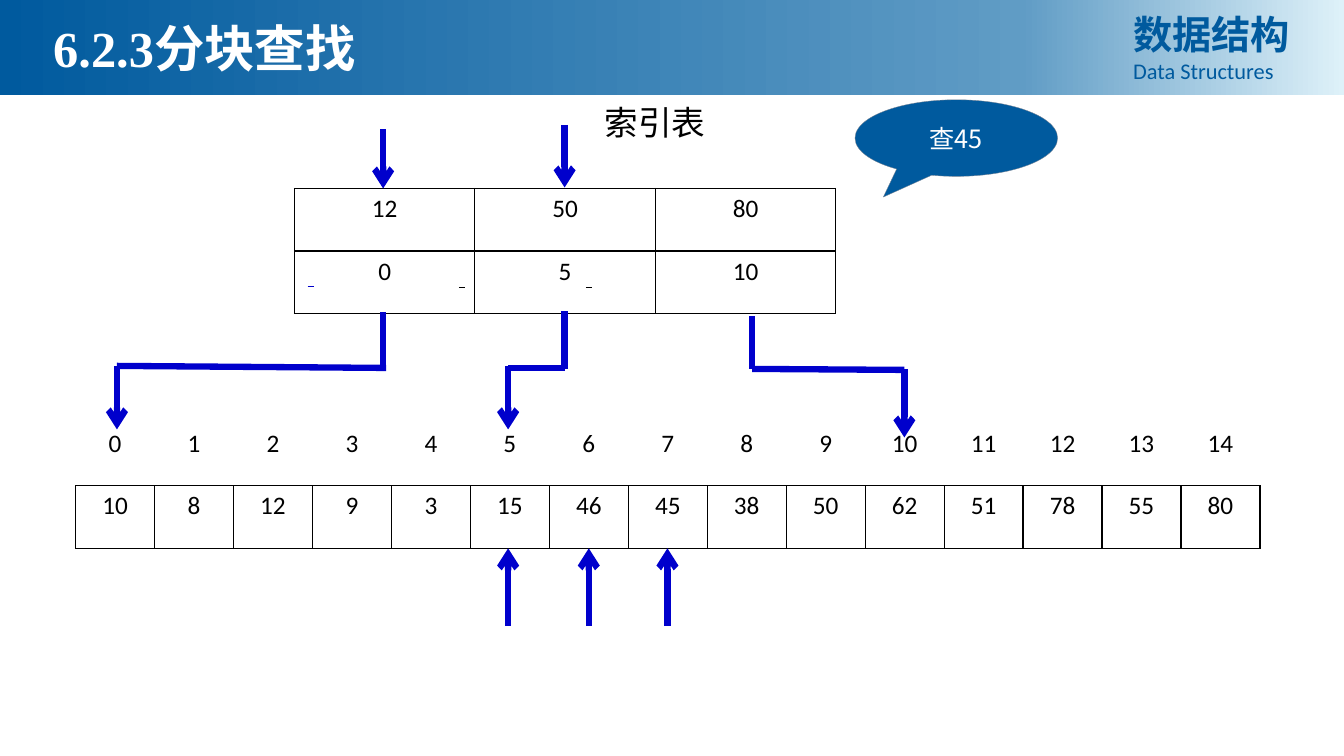
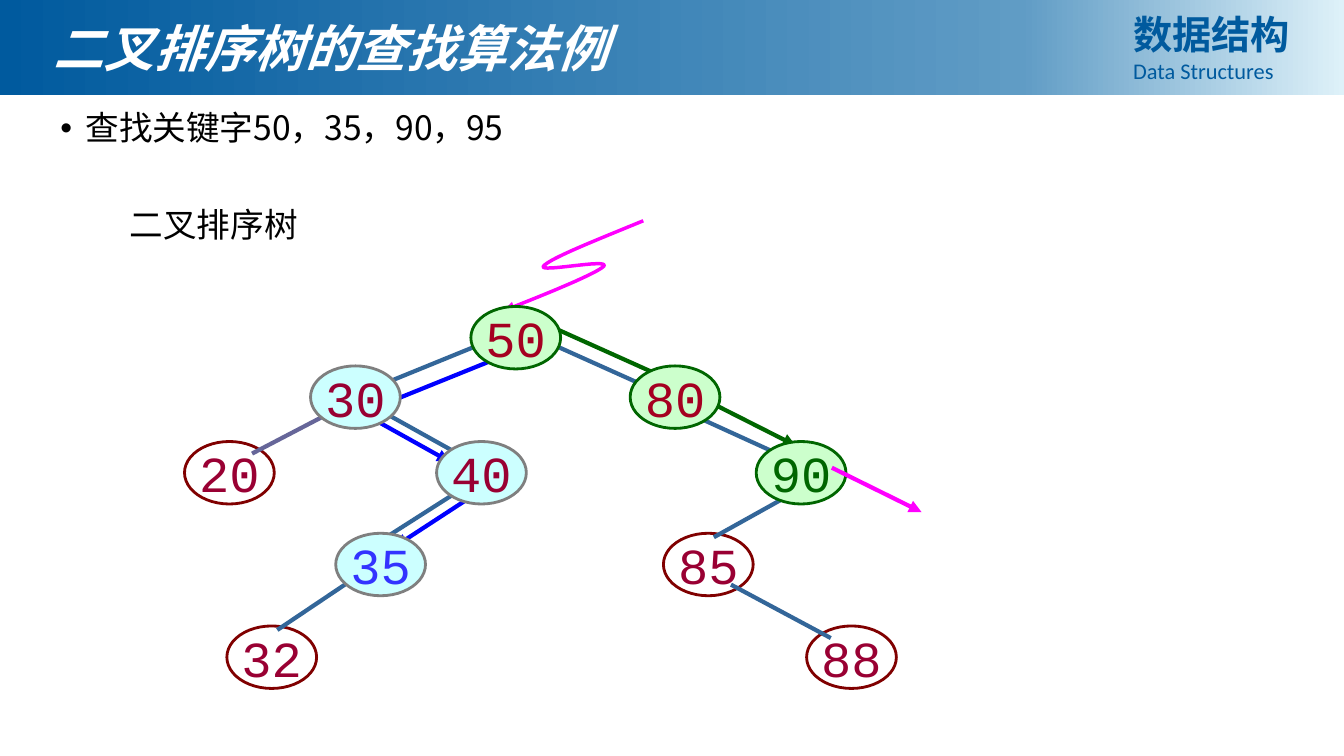
import copy
import pptx
import pptx.dml.color
import pptx.enum.shapes
import pptx.enum.text
import pptx.oxml.ns
import pptx.util
from lxml import etree

Inches = pptx.util.Inches
Pt = pptx.util.Pt
qn = pptx.oxml.ns.qn
rgb = pptx.dml.color.RGBColor.from_string
SHAPE = pptx.enum.shapes.MSO_SHAPE
ALIGN = pptx.enum.text.PP_ALIGN
MIDDLE = pptx.enum.text.MSO_ANCHOR.MIDDLE

CJK = "Noto Sans CJK SC"
BLUE = "005A9E"
WHITE = "FFFFFF"
BLACK = "000000"
POINTER = "0000CC"
MAGENTA = "FF00FF"


def write(p, text, size=24, font=CJK, color=BLACK, bold=False, italic=False, align=ALIGN.CENTER):
    p.alignment = align
    r = p.add_run()
    r.text = text
    r.font.size = Pt(size)
    r.font.name = font
    r.font.bold = bold
    r.font.italic = italic
    r.font.color.rgb = rgb(color)
    etree.SubElement(r._r.get_or_add_rPr(), qn("a:ea"), typeface=CJK)


def draw_line(s, ends, color, width, tail=None):
    x1, y1, x2, y2 = map(Inches, ends)
    c = s.shapes.add_connector(pptx.enum.shapes.MSO_CONNECTOR.STRAIGHT, x1, y1, x2, y2)
    c.line.color.rgb = rgb(color)
    c.line.width = Pt(width)
    if tail:
        etree.SubElement(c.line._get_or_add_ln(), qn("a:tailEnd"), type=tail)
    etree.SubElement(c._element.spPr, qn("a:effectLst"))


prs = pptx.Presentation()
prs.slide_width = Inches(13.33)
prs.slide_height = Inches(7.5)

slides = []
for title, width, italic in [("6.2.3分块查找", 5.64, False), ("二叉排序树的查找算法例", 6.7, True)]:
    s = prs.slides.add_slide(prs.slide_layouts[6])
    slides.append(s)

    band = s.shapes.add_shape(SHAPE.RECTANGLE, 0, 0, prs.slide_width, Inches(0.94))
    band.shadow.inherit = False
    band.line.fill.background()
    band.fill.gradient()
    band.fill.gradient_angle = 0
    stops = band._element.spPr.find(qn("a:gradFill")).find(qn("a:gsLst"))
    stops.append(copy.deepcopy(stops[0]))
    for stop, (position, color) in zip(band.fill.gradient_stops, [(0, BLUE), (0.76, "609CC5"), (1, "DEF1F9")]):
        stop.position = position
        stop.color.rgb = rgb(color)

    tf = s.shapes.add_textbox(Inches(11.14), Inches(0.05), Inches(1.91), Inches(0.84)).text_frame
    tf.word_wrap = True
    write(tf.paragraphs[0], "数据结构", size=28, color=BLUE, bold=True, align=ALIGN.JUSTIFY)
    write(tf.add_paragraph(), "Data Structures", size=16, font="Calibri", color=BLUE, align=ALIGN.JUSTIFY)

    tf = s.shapes.add_textbox(Inches(0.43), Inches(0.12), Inches(width), Inches(0.71)).text_frame
    tf.word_wrap = True
    write(tf.paragraphs[0], title, size=36, font="Times New Roman", color=WHITE, bold=True,
          italic=italic, align=ALIGN.LEFT)

block_slide, tree_slide = slides

for s, text, left, top, width in [(block_slide, "索引表", 5.35, 0.96, 2.29),
                                  (tree_slide, "二叉排序树", 1, 1.97, 2.24)]:
    tf = s.shapes.add_textbox(Inches(left), Inches(top), Inches(width), Inches(0.5)).text_frame
    tf.word_wrap = True
    write(tf.paragraphs[0], text)

s = block_slide
index_rows = [[12, 50, 80], [0, 5, 10]]
data_rows = [range(15), [10, 8, 12, 9, 3, 15, 46, 45, 38, 50, 62, 51, 78, 55, 80]]
for rows, left, top, width, first_bordered in [(index_rows, 2.92, 1.87, 5.37, 0), (data_rows, 0.75, 4.2, 11.75, 1)]:
    table = s.shapes.add_table(2, len(rows[0]), Inches(left), Inches(top), Inches(width), Inches(1.24)).table
    table.first_row = False
    table.horz_banding = False
    for i, row in enumerate(rows):
        for j, value in enumerate(row):
            cell = table.cell(i, j)
            write(cell.text_frame.paragraphs[0], str(value), size=18, font="Calibri")
            tcPr = cell._tc.get_or_add_tcPr()
            for side in ("lnL", "lnR", "lnT", "lnB"):
                ln = etree.SubElement(tcPr, qn("a:" + side), w=str(Pt(1)))
                if i >= first_bordered or side == "lnB":
                    fill = etree.SubElement(ln, qn("a:solidFill"))
                    etree.SubElement(fill, qn("a:srgbClr"), val=BLACK)
                else:
                    etree.SubElement(ln, qn("a:noFill"))
            cell.fill.background()

for ends in [(3.8, 1.28, 3.8, 1.87), (5.6, 1.24, 5.6, 1.86),
             (1.16, 3.63, 1.16, 4.26), (5.04, 3.63, 5.04, 4.26), (8.97, 3.66, 8.97, 4.34)]:
    draw_line(s, ends, POINTER, 4.5, "arrow")
for x in (5.04, 5.84, 6.62):
    draw_line(s, (x, 6.21, x, 5.44), POINTER, 4.5, "arrow")
for ends in [(1.16, 3.63, 3.83, 3.65), (5.04, 3.65, 5.6, 3.65), (7.46, 3.66, 8.97, 3.67),
             (7.46, 3.66, 7.46, 3.14), (5.6, 3.66, 5.6, 3.09), (3.8, 3.68, 3.8, 3.1)]:
    draw_line(s, ends, POINTER, 4.5)
for x, y, color in [(3.05, 2.84, POINTER), (4.55, 2.85, BLACK), (5.81, 2.85, BLACK)]:
    draw_line(s, (x, y, x + 0.06, y), color, 0.5)

sp = s.shapes.add_shape(SHAPE.OVAL_CALLOUT, Inches(8.48), Inches(0.99), Inches(2.01), Inches(0.76))
sp.shadow.inherit = False
sp.adjustments[0] = -0.36
sp.adjustments[1] = 0.77
sp.fill.solid()
sp.fill.fore_color.rgb = rgb(BLUE)
sp.line.color.rgb = rgb("778495")
sp.line.width = Pt(0.25)
sp.text_frame.vertical_anchor = MIDDLE
write(sp.text_frame.paragraphs[0], "查45", size=18, color=WHITE)

s = tree_slide
tf = s.shapes.add_textbox(Inches(0.5), Inches(1.06), Inches(10.64), Inches(0.6)).text_frame
tf.word_wrap = True
p = tf.paragraphs[0]
pPr = p._p.get_or_add_pPr()
pPr.set("marL", str(Inches(0.25)))
pPr.set("indent", str(-Inches(0.25)))
etree.SubElement(pPr, qn("a:buFont"), typeface="Arial")
etree.SubElement(pPr, qn("a:buChar"), char="•")
p.line_spacing = 0.9
write(p, "查找关键字50，35，90，95", align=ALIGN.LEFT)

curves = [[(6.38, 2.19), (5.92, 2.38), (5.46, 2.56), (5.39, 2.64)],
          [(5.39, 2.64), (5.33, 2.71), (6.05, 2.56), (5.99, 2.64)],
          [(5.99, 2.64), (5.92, 2.71), (5.46, 2.9), (5, 3.08)]]
steps = 16
points = []
for a, b, c, d in curves:
    for k in range(1, steps + 1):
        t = k / steps
        u = 1 - t
        points.append([Inches(u**3 * a[i] + 3 * u * u * t * b[i] + 3 * u * t * t * c[i] + t**3 * d[i])
                       for i in (0, 1)])
builder = s.shapes.build_freeform(Inches(6.38), Inches(2.19))
builder.add_line_segments(points, close=False)
sp = builder.convert_to_shape()
sp.shadow.inherit = False
sp.fill.background()
sp.line.color.rgb = rgb(MAGENTA)
sp.line.width = Pt(2.5)
etree.SubElement(sp.line._get_or_add_ln(), qn("a:tailEnd"), type="triangle")

edges = [(4.83, 3.39, 3.75, 3.83), (5.42, 3.39, 6.4, 3.83), (3.75, 4.06, 4.54, 4.5),
         (4.52, 4.89, 3.83, 5.33), (6.92, 4.14, 7.71, 4.5), (7.87, 4.89, 7.08, 5.33),
         (7.25, 5.8, 8.24, 6.33), (3.54, 5.72, 2.75, 6.25)]
left_search = [(4.92, 3.56, 3.83, 4), (3.67, 4.14, 4.46, 4.58), (4.61, 4.97, 3.92, 5.42)]
right_search = [(5.42, 3.22, 6.6, 3.75), (7, 3.97, 7.89, 4.42)]
WINE = "990033"
RED = "A50021"
GREEN = "006600"
plain_nodes = [("20", 1.83, 4.38, WINE), ("85", 6.58, 5.29, WINE), ("88", 8, 6.21, WINE), ("32", 2.25, 6.21, WINE)]
left_nodes = [("30", 3.08, 3.63, WINE), ("40", 4.33, 4.38, WINE), ("35", 3.33, 5.29, "3333FF")]
right_nodes = [("50", 4.67, 3.04, RED), ("80", 6.25, 3.63, RED), ("90", 7.5, 4.38, GREEN)]

layers = [
    (plain_nodes, None, "800000", [(3.19, 4.14, 2.5, 4.5)], "666699", None),
    ([], None, None, edges, "336699", None),
    ([], None, None, left_search, "0000FF", "triangle"),
    (left_nodes, "CCFFFF", "7F7F7F", right_search, GREEN, "triangle"),
    (right_nodes, "CCFFCC", GREEN, [(8.25, 4.64, 9.14, 5.08)], MAGENTA, "triangle"),
]
for nodes, fill, outline, lines, line_color, tail in layers:
    for key, left, top, color in nodes:
        sp = s.shapes.add_shape(SHAPE.OVAL, Inches(left), Inches(top), Inches(0.89), Inches(0.62))
        sp.shadow.inherit = False
        if fill:
            sp.fill.solid()
            sp.fill.fore_color.rgb = rgb(fill)
        else:
            sp.fill.background()
        sp.line.color.rgb = rgb(outline)
        sp.line.width = Pt(2)
        sp.text_frame.word_wrap = False
        sp.text_frame.vertical_anchor = MIDDLE
        write(sp.text_frame.paragraphs[0], key, size=36, font="Courier New", color=color)
    for ends in lines:
        draw_line(s, ends, line_color, 3, tail)

prs.save("out.pptx")
